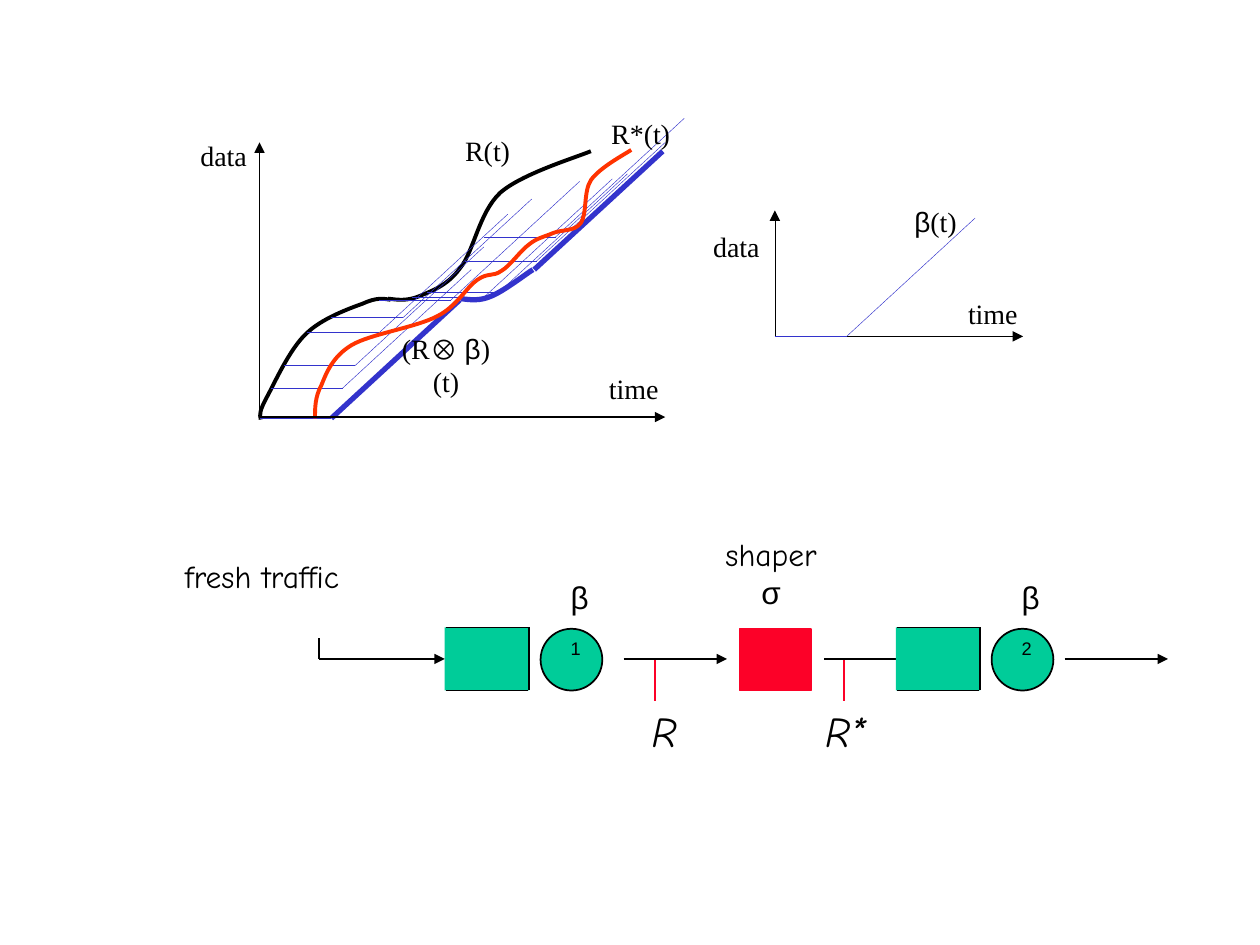
from dataclasses import dataclass

from lxml import etree
from pptx import Presentation
from pptx.dml.color import RGBColor
from pptx.enum.shapes import MSO_CONNECTOR, MSO_SHAPE
from pptx.enum.text import MSO_ANCHOR, PP_ALIGN
from pptx.oxml.ns import qn
from pptx.util import Inches, Pt

STRAIGHT = MSO_CONNECTOR.STRAIGHT
RECT, OVAL = MSO_SHAPE.RECTANGLE, MSO_SHAPE.OVAL
TOP, MIDDLE = MSO_ANCHOR.TOP, MSO_ANCHOR.MIDDLE
LEFT, CENTER, RIGHT = PP_ALIGN.LEFT, PP_ALIGN.CENTER, PP_ALIGN.RIGHT


@dataclass(frozen=True)
class Theme:
    ink: str = "000000"
    blue: str = "3333CC"
    orange: str = "FF3300"
    green: str = "00CC99"
    red: str = "FC0128"
    serif: str = "Times New Roman"
    sans: str = "Arial"
    hand: str = "Comic Neue"
    plot: int = 16
    flow: int = 18
    big: int = 24
    hair: float = 0.25
    axis: float = 0.75
    wire: float = 1
    curve: float = 2.25
    bold: float = 3


THEME = Theme()
RISE = (1.02, -0.94)
DELAY = 0.57
FLOW_Y = 5.23
KNEES = [
    (2.63, 3.32), (2.82, 2.9), (3.01, 2.64), (3.2, 2.52), (3.58, 2.38),
    (3.96, 2.32), (3.84, 2.36), (4.41, 1.88), (4.26, 2.07), (2.72, 3.08),
]
INPUT = [
    [(2.07, 3.33), (2.06, 3.29), (2.06, 3.26), (2.12, 3.15),
     (2.18, 3.04), (2.3, 2.77), (2.43, 2.65),
     (2.55, 2.53), (2.77, 2.45), (2.88, 2.41),
     (2.99, 2.36), (3.04, 2.37), (3.1, 2.38)],
    [(3.08, 2.37), (3.16, 2.38), (3.23, 2.39), (3.33, 2.35),
     (3.42, 2.31), (3.55, 2.27), (3.65, 2.13),
     (3.76, 2), (3.8, 1.69), (3.97, 1.53),
     (4.14, 1.38), (4.57, 1.25), (4.69, 1.2)],
]
BOUND = [(3.66, 2.37), (3.73, 2.38), (3.81, 2.39), (3.9, 2.35),
         (4, 2.31), (4.18, 2.17), (4.23, 2.14)]
OUTPUT = [
    (2.5, 3.32), (2.5, 3.24), (2.5, 3.15), (2.55, 3.06),
    (2.59, 2.96), (2.64, 2.83), (2.79, 2.74),
    (2.94, 2.65), (3.3, 2.6), (3.47, 2.51),
    (3.63, 2.43), (3.7, 2.28), (3.79, 2.22),
    (3.88, 2.16), (3.91, 2.2), (3.98, 2.15),
    (4.05, 2.11), (4.13, 1.99), (4.2, 1.94),
    (4.26, 1.89), (4.32, 1.88), (4.39, 1.85),
    (4.46, 1.82), (4.56, 1.84), (4.61, 1.77),
    (4.66, 1.7), (4.63, 1.52), (4.69, 1.43),
    (4.76, 1.33), (4.95, 1.23), (5.01, 1.19),
]


def apply(item, **values):
    for name, value in values.items():
        setattr(item, name, value)


def stroke(item, color, width):
    item.line.color.rgb = RGBColor.from_string(color)
    item.line.width = Pt(width)


def line(slide, start, end, color=THEME.ink, width=THEME.wire, arrow=False):
    ends = [Inches(n) for n in (*start, *end)]
    link = slide.shapes.add_connector(STRAIGHT, *ends)
    stroke(link, color, width)
    if arrow:
        etree.SubElement(link.line._get_or_add_ln(), qn("a:tailEnd"), type="triangle")
    etree.SubElement(link._element.spPr, qn("a:effectLst"))
    return link


def curve(slide, points, color, width):
    points = [(Inches(x), Inches(y)) for x, y in points]
    maker = slide.shapes.build_freeform(*points[0], scale=1.0)
    maker.add_line_segments(points[1:], close=False)
    shape = maker.convert_to_shape()
    shape.shadow.inherit = False
    shape.fill.background()
    stroke(shape, color, width)
    steps = list(shape._element.iter(qn("a:lnTo")))
    for first in range(0, len(steps), 3):
        bend = etree.Element(qn("a:cubicBezTo"))
        steps[first].addprevious(bend)
        for step in steps[first:first + 3]:
            bend.append(step[0])
            step.getparent().remove(step)


def block(slide, kind, box, fill, edge=None):
    shape = slide.shapes.add_shape(kind, *map(Inches, box))
    shape.shadow.inherit = False
    shape.fill.solid()
    shape.fill.fore_color.rgb = RGBColor.from_string(fill)
    if edge:
        stroke(shape, edge, THEME.wire)
    else:
        shape.line.fill.background()
    return shape


def label(slide, box, rows, size, align=CENTER, anchor=TOP, wrap=False, italic=None):
    frame = slide.shapes.add_textbox(*map(Inches, box)).text_frame
    apply(frame, word_wrap=wrap, vertical_anchor=anchor)
    for spot, runs in enumerate(rows):
        para = frame.add_paragraph() if spot else frame.paragraphs[0]
        para.alignment = align
        for text, face, *base in runs:
            run = para.add_run()
            run.text = text
            apply(run.font, name=face, size=Pt(size), italic=italic)
            run.font.color.rgb = RGBColor.from_string(THEME.ink)
            if base:
                run._r.get_or_add_rPr().set("baseline", str(base[0]))


def note(slide, left, top, width, *runs, wrap=False):
    label(slide, (left, top, width, 0.37), [runs], THEME.plot,
          anchor=MIDDLE, wrap=wrap)


def axes(slide, corner, right, top, width):
    x, y = corner
    line(slide, corner, (right, y), width=width, arrow=True)
    line(slide, corner, (x, top), width=width, arrow=True)


def rise(slide, start, width):
    end = (start[0] + RISE[0], start[1] + RISE[1])
    line(slide, start, end, THEME.blue, width)


def service(slide, knee):
    x, y = knee
    rise(slide, knee, THEME.hair)
    line(slide, knee, (x - DELAY, y), THEME.blue, THEME.hair)


def server(slide, x, index):
    top, low, right = 4.98, 5.48, x + 0.67
    block(slide, OVAL, (x + 0.76, 4.99, 0.49, 0.49), THEME.green, THEME.ink)
    queue = block(slide, RECT, (x, top, 0.67, 0.5), THEME.green)
    for y in (top, low):
        line(slide, (x + 0.01, y), (right - 0.01, y))
    line(slide, (right, top), (right, low))
    label(slide, (x + 0.9, 4.54, 0.41, 0.4),
          [[("β", THEME.sans), (index, THEME.sans, -25000)]],
          THEME.flow, LEFT, wrap=True)
    return queue


def graphs(slide):
    serif, sans = THEME.serif, THEME.sans
    for part in INPUT:
        curve(slide, part, THEME.ink, THEME.curve)
    for start in ((2.63, 3.32), (4.24, 2.14)):
        rise(slide, start, THEME.bold)
    curve(slide, BOUND, THEME.blue, THEME.bold)
    for knee in KNEES:
        service(slide, knee)
    axes(slide, (6.15, 2.67), 8.12, 1.67, THEME.hair)
    service(slide, (6.72, 2.67))
    curve(slide, OUTPUT, THEME.orange, THEME.curve)
    axes(slide, (2.06, 3.31), 5.28, 1.13, THEME.axis)
    note(slide, 3.59, 1.01, 0.56, ("R(t)", serif))
    note(slide, 4.75, 0.87, 0.67, ("R*(t)", serif))
    note(slide, 7.1, 1.57, 0.65, ("β", sans), ("(t)", serif))
    note(slide, 3.01, 2.71, 1.06, ("(R⊗ ", serif), ("β", sans), (")(t)", serif), wrap=True)
    for left, top in ((7.58, 2.3), (4.73, 2.9)):
        note(slide, left, top, 0.6, ("time", serif))
    for left, top in ((5.56, 1.77), (1.49, 1.05)):
        note(slide, left, top, 0.57, ("data", serif))


def chain(slide):
    hand, y = THEME.hand, FLOW_Y
    for x in (4.95, 6.54, 8.45):
        line(slide, (x, y), (x + 0.82, y), arrow=True)
    queue = server(slide, 3.53, "1")
    server(slide, 7.11, "2")
    line(slide, (2.53, y), (3.53, y), arrow=True).end_connect(queue, 1)
    line(slide, (2.53, y), (2.53, 5.06))
    block(slide, RECT, (5.87, 4.99, 0.57, 0.49), THEME.red, THEME.red)
    label(slide, (1.21, 4.37, 1.74, 0.7), [[("fresh traffic", hand)]], THEME.flow)
    label(slide, (5.63, 4.2, 0.98, 0.7),
          [[("shaper", hand)], [("σ", THEME.sans)]], THEME.flow)
    for text, left, width, x in (("R", 5.06, 0.41, 5.2), ("R*", 6.38, 0.59, 6.7)):
        label(slide, (left, 5.55, width, 0.5), [[(text, hand)]],
              THEME.big, RIGHT, italic=True)
        line(slide, (x, 5.24), (x, 5.56), THEME.red)


def main():
    deck = Presentation()
    apply(deck, slide_width=Inches(10), slide_height=Inches(7.5))
    slide = deck.slides.add_slide(deck.slide_layouts[6])
    graphs(slide)
    chain(slide)
    deck.save("out.pptx")


if __name__ == "__main__":
    main()
